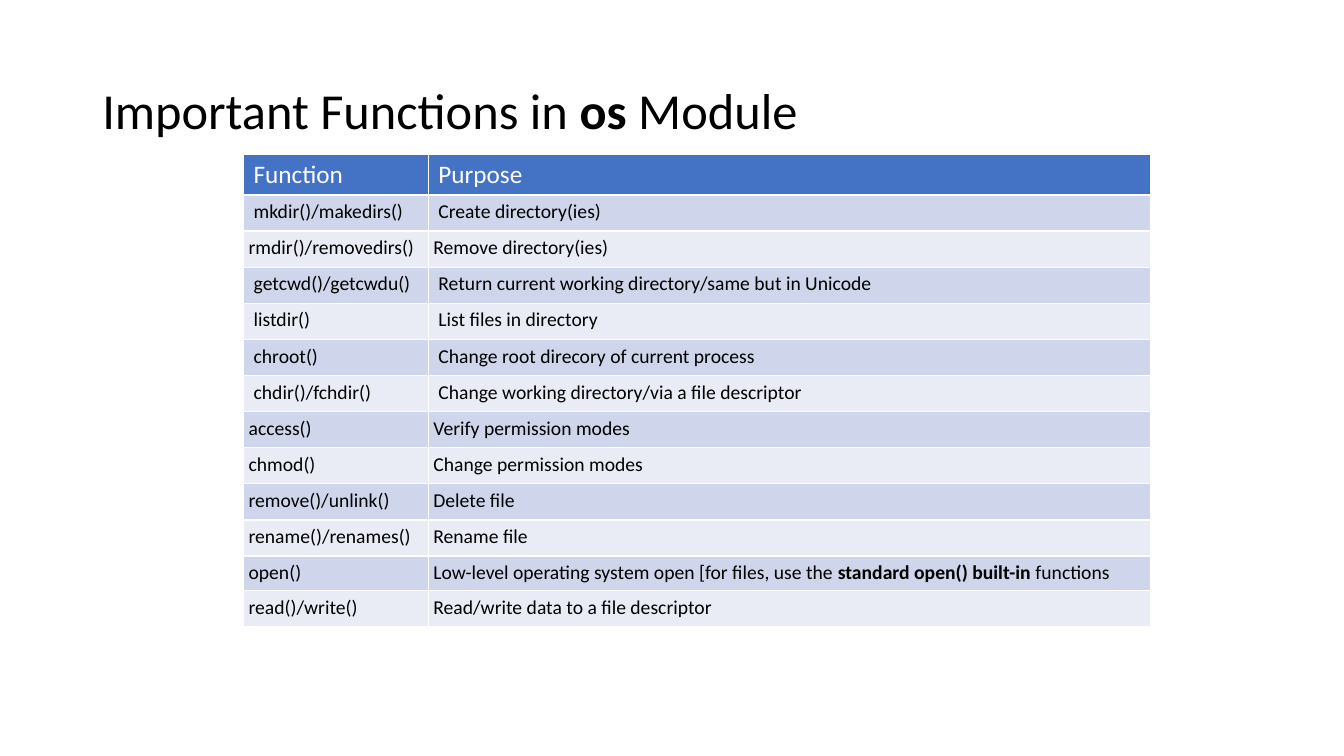
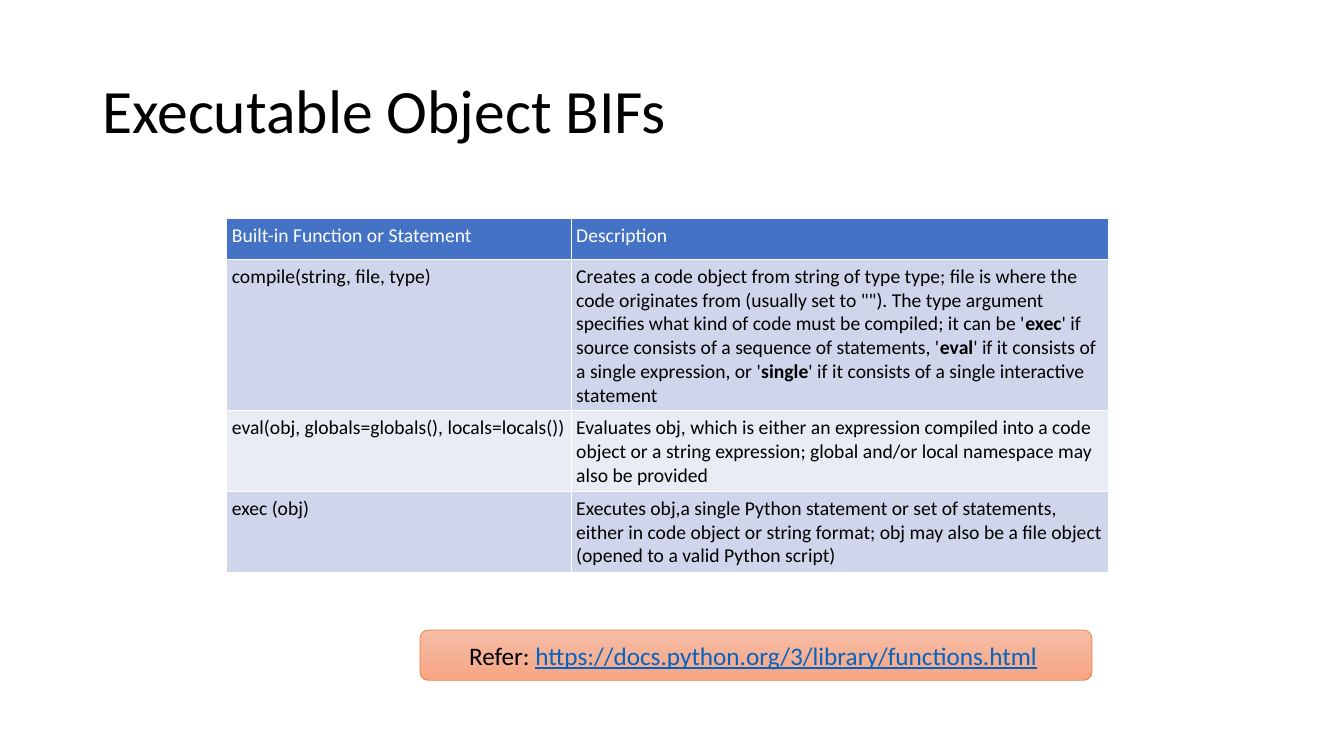
from copy import deepcopy
from dataclasses import dataclass

from pptx import Presentation
from pptx.dml.color import RGBColor
from pptx.enum.shapes import MSO_SHAPE as Shape
from pptx.enum.text import MSO_ANCHOR as Anchor, PP_ALIGN as Align
from pptx.oxml.ns import qn
from pptx.util import Emu, Pt

EMU_PER_PX = 7620
SLIDE_SIZE = (1600, 900)
TITLE_BOX = (110, 48, 1380, 174)
FONT = "Calibri"
BODY_SIZE = 14
NARROW, WIDE = 6, 12

BLACK = RGBColor(0x00, 0x00, 0x00)
WHITE = RGBColor(0xFF, 0xFF, 0xFF)
HEADER_BLUE = RGBColor(0x44, 0x72, 0xC4)
BANDS = (RGBColor(0xCF, 0xD5, 0xEA), RGBColor(0xE9, 0xEB, 0xF5))
LINK_BLUE = RGBColor(0x05, 0x63, 0xC1)
ORANGE = RGBColor(0xED, 0x7D, 0x31)
PEACH_STOPS = (
    (0, RGBColor(0xF7, 0xBD, 0xA5)),
    (0.5, RGBColor(0xF5, 0xB1, 0x96)),
    (1, RGBColor(0xF8, 0xA5, 0x82)),
)


@dataclass
class Row:
    """Texts of one table row with its side margin and height in px."""

    texts: tuple
    margin: int = NARROW
    height: int = 43


OS_ROWS = (
    Row(("Function", "Purpose"), WIDE),
    Row(("mkdir()/makedirs()", "Create directory(ies)"), WIDE),
    Row(("rmdir()/removedirs()", "Remove directory(ies)")),
    Row(("getcwd()/getcwdu()", "Return current working directory/same but in Unicode"), WIDE),
    Row(("listdir()", "List files in directory"), WIDE),
    Row(("chroot()", "Change root direcory of current process"), WIDE),
    Row(("chdir()/fchdir()", "Change working directory/via a file descriptor"), WIDE),
    Row(("access()", "Verify permission modes")),
    Row(("chmod()", "Change permission modes")),
    Row(("remove()/unlink()", "Delete file")),
    Row(("rename()/renames()", "Rename file")),
    Row(
        (
            "open()",
            "Low-level operating system open [for files, use the "
            "**standard open() built-in **functions",
        ),
        height=41,
    ),
    Row(("read()/write()", "Read/write data to a file descriptor")),
)

BIF_TEXTS = (
    ("Built-in Function or Statement", "Description"),
    (
        "compile(string, file, type)",
        "Creates a code object from string of type type; file is where the code "
        'originates from (usually set to ""). The type argument specifies what '
        "kind of code must be compiled; it can be '**exec**' if source consists of "
        "a sequence of statements, '**eval**' if it consists of a single "
        "expression, or '**single**' if it consists of a single interactive statement",
    ),
    (
        "eval(obj, globals=globals(), locals=locals())",
        "Evaluates obj, which is either an expression compiled into a code object "
        "or a string expression; global and/or local namespace may also be provided",
    ),
    (
        "exec (obj)",
        "Executes obj,a single Python statement or set of statements, either in "
        "code object or string format; obj may also be a file object (opened to a "
        "valid Python script)",
    ),
)
BIF_ROWS = [Row(texts, height=49) for texts in BIF_TEXTS]


def px(length):
    """Turn px into EMU."""
    return Emu(length * EMU_PER_PX)


def set_all(target, values):
    """Set every attribute named in a dict."""
    for name, value in values.items():
        setattr(target, name, value)


def add_run(paragraph, text, size, color=BLACK, **values):
    """Append one formatted run."""
    run = paragraph.add_run()
    run.text = text
    set_all(run.font, {"name": FONT, "size": Pt(size), "bold": False, **values})
    run.font.color.rgb = color


def add_marked_text(paragraph, text, size, color=BLACK):
    """Append text whose parts between double asterisks are bold."""
    for index, part in enumerate(text.split("**")):
        add_run(paragraph, part, size, color, bold=index % 2 == 1)


def add_title(slide, text, size):
    """Add the slide title."""
    frame = slide.shapes.add_textbox(*map(px, TITLE_BOX)).text_frame
    set_all(frame, {"word_wrap": True, "vertical_anchor": Anchor.MIDDLE})
    paragraph = frame.paragraphs[0]
    paragraph.line_spacing = 0.9
    add_marked_text(paragraph, text, size)


def fill_cell(cell, text, margin, fill, size, color):
    """Fill one table cell with text and colour."""
    set_all(cell, {"margin_left": px(margin), "margin_right": px(margin),
                   "margin_top": px(NARROW), "margin_bottom": px(NARROW)})
    cell.fill.solid()
    cell.fill.fore_color.rgb = fill
    add_marked_text(cell.text_frame.paragraphs[0], text, size, color)


def add_banded_table(slide, left, top, widths, rows, header_size):
    """Add a table with a blue header over banded rows."""
    height = sum(row.height for row in rows)
    box = map(px, (left, top, sum(widths), height))
    table = slide.shapes.add_table(len(rows), len(widths), *box).table
    for column, width in zip(table.columns, widths):
        column.width = px(width)
    for index, row in enumerate(rows):
        table.rows[index].height = px(row.height)
        if index == 0:
            style = (HEADER_BLUE, header_size, WHITE)
        else:
            style = (BANDS[(index - 1) % 2], BODY_SIZE, BLACK)
        for cell, text in zip(table.rows[index].cells, row.texts):
            fill_cell(cell, text, row.margin, *style)


def fill_gradient(shape, color_stops):
    """Fill a shape with a gradient from top to bottom."""
    fill = shape.fill
    fill.gradient()
    fill.gradient_angle = 270
    stop_list = shape.element.spPr.find(qn("a:gradFill")).find(qn("a:gsLst"))
    while len(stop_list) < len(color_stops):
        stop_list.append(deepcopy(stop_list[-1]))
    for stop, (position, color) in zip(fill.gradient_stops, color_stops):
        stop.position = position
        stop.color.rgb = color


def add_reference(slide, box, label, address):
    """Add a rounded box that cites a web address."""
    shape = slide.shapes.add_shape(Shape.ROUNDED_RECTANGLE, *map(px, box))
    shape.shadow.inherit = False
    fill_gradient(shape, PEACH_STOPS)
    shape.line.color.rgb = ORANGE
    shape.line.width = Pt(0.5)
    set_all(shape.text_frame, {"word_wrap": True, "vertical_anchor": Anchor.MIDDLE})
    paragraph = shape.text_frame.paragraphs[0]
    paragraph.alignment = Align.CENTER
    add_run(paragraph, label, 18)
    add_run(paragraph, address, 18, LINK_BLUE, underline=True)
    add_run(paragraph, " ", 18)


def main():
    """Build and save the presentation."""
    presentation = Presentation()
    presentation.slide_width, presentation.slide_height = map(px, SLIDE_SIZE)
    blank = presentation.slide_layouts[6]

    slide = presentation.slides.add_slide(blank)
    add_title(slide, "Important Functions in **os** Module", 36)
    add_banded_table(slide, 290, 184, (220, 860), OS_ROWS, 18)

    slide = presentation.slides.add_slide(blank)
    add_title(slide, "Executable Object BIFs", 44)
    add_banded_table(slide, 270, 260, (410, 640), BIF_ROWS, BODY_SIZE)
    add_reference(slide, (500, 750, 800, 60), "Refer: ",
                  "https://docs.python.org/3/library/functions.html")

    presentation.save("out.pptx")


if __name__ == "__main__":
    main()
